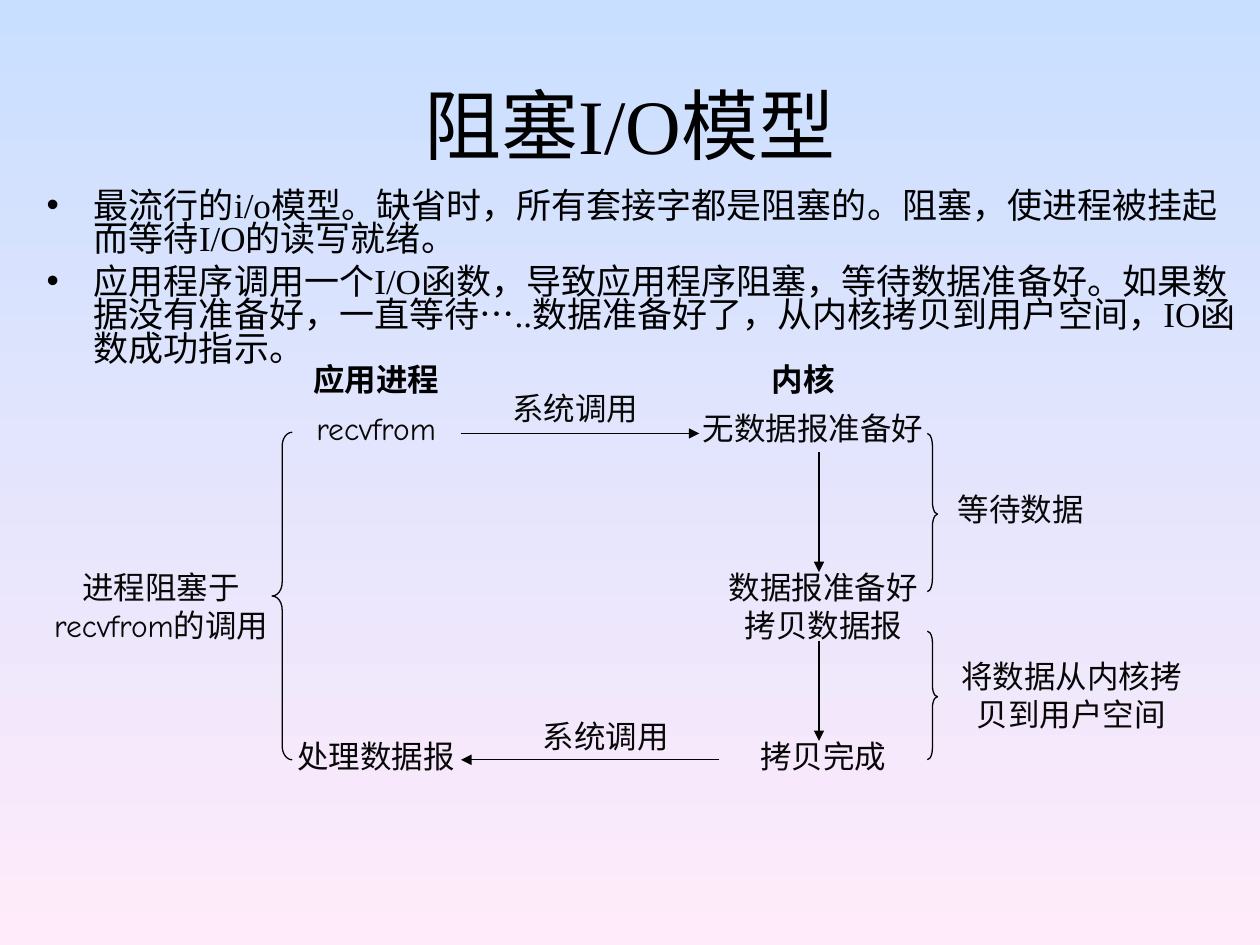
from dataclasses import dataclass

from lxml.etree import SubElement
from pptx import Presentation
from pptx.dml.color import RGBColor as Rgb
from pptx.enum.shapes import MSO_CONNECTOR as Connector, MSO_SHAPE as Shape
from pptx.enum.text import MSO_ANCHOR as Anchor, MSO_AUTO_SIZE as AutoSize, PP_ALIGN as Align
from pptx.oxml.ns import qn
from pptx.util import Pt


@dataclass(frozen=True)
class Theme:
    """Colours, fonts and sizes of the slide."""
    sky: Rgb = Rgb(0xC9, 0xDF, 0xFF)
    blush: Rgb = Rgb(0xFF, 0xEB, 0xFA)
    black: Rgb = Rgb(0, 0, 0)
    ink: Rgb = Rgb(8, 8, 8)
    serif: str = "Times New Roman"
    casual: str = "Comic Neue"
    title_size: int = 44
    body_size: int = 20
    label_size: int = 18
    line_width: float = 0.75


THEME = Theme()

TITLE = "阻塞I/O模型"
POINTS = [
    "最流行的i/o模型。缺省时，所有套接字都是阻塞的。阻塞，使进程被挂起而等待I/O的读写就绪。",
    "应用程序调用一个I/O函数，导致应用程序阻塞，等待数据准备好。如果数据没有准备好，一直等待…..数据准备好了，从内核拷贝到用户空间，IO函数成功指示。",
]

APP_LEFT, KERNEL_LEFT = 155.5, 399.6
NARROW, WIDE = 118.8, 141.8
HEADER_TOP, CALL_TOP, READY_TOP, DONE_TOP = 202.3, 230.4, 321.1, 417.6
CALL_LINE, RETURN_LINE = 247.7, 434.2
APP_EDGE, KERNEL_AXIS = 263.5, 468

HEADERS = [("应用进程", APP_LEFT), ("内核", KERNEL_LEFT)]
LABELS = [
    (["进程阻塞于recvfrom的调用"], 14.4, READY_TOP, 155.5, 2),
    (["recvfrom"], APP_LEFT, CALL_TOP, NARROW, 1),
    (["无数据报准备好"], 393.8, CALL_TOP, WIDE, 1),
    (["系统调用"], 269.3, 218.9, NARROW, 1),
    (["处理数据报"], APP_LEFT, DONE_TOP, NARROW, 1),
    (["拷贝完成"], KERNEL_LEFT, DONE_TOP, WIDE, 1),
    (["系统调用"], 286.6, 406.1, NARROW, 1),
    (["数据报准备好", "拷贝数据报"], KERNEL_LEFT, READY_TOP, WIDE, 2),
    (["等待数据"], 540, 276.5, 86.4, 1),
    (["将数据从内核拷贝到用户空间"], 541.4, 372.2, WIDE, 2),
]
ARROWS = [
    (APP_EDGE, CALL_LINE, KERNEL_LEFT, CALL_LINE),
    (411.1, RETURN_LINE, APP_EDGE, RETURN_LINE),
    (KERNEL_AXIS, 258.5, KERNEL_AXIS, 326.9),
    (KERNEL_AXIS, 366.5, KERNEL_AXIS, 423.4),
]
BRACES = [
    (Shape.LEFT_BRACE, 155.5, 247, 11.5, 187.2, 0.68, 0.5),
    (Shape.RIGHT_BRACE, 529.9, 247.7, 5.8, 90.4, 1.25, 0.51),
    (Shape.RIGHT_BRACE, 529.9, 360.7, 5.8, 73.4, 1.1, 0.51),
]


def apply(target, values):
    """Set each named attribute of the target."""
    for name, value in values.items():
        setattr(target, name, value)


def place(shape, left, top, width, height):
    """Move and size a shape."""
    apply(shape, {"left": Pt(left), "top": Pt(top),
                  "width": Pt(width), "height": Pt(height)})


def write(frame, lines, font, size, color, para_format, bold=False):
    """Fill a text frame with one paragraph for each line."""
    for index, line in enumerate(lines):
        para = frame.add_paragraph() if index else frame.paragraphs[0]
        apply(para, para_format)
        span = para.add_run()
        span.text = line
        apply(span.font, {"name": font, "size": Pt(size), "bold": bold})
        span.font.color.rgb = color


def paint_background(page):
    """Give the page a gradient running from top to bottom."""
    fill = page.background.fill
    fill.gradient()
    fill.gradient_angle = 270
    for stop, color in zip(fill.gradient_stops, (THEME.sky, THEME.blush)):
        stop.color.rgb = color


def fill_title(title):
    """Write the slide title."""
    place(title, 54, 25.9, 612, 90)
    apply(title.text_frame, {"auto_size": AutoSize.NONE, "vertical_anchor": Anchor.MIDDLE})
    write(title.text_frame, [TITLE], THEME.serif, THEME.title_size, THEME.black,
          {"alignment": Align.CENTER})


def fill_points(body):
    """Write the bulleted points."""
    place(body, 19.4, 105.8, 700.6, 118.8)
    frame = body.text_frame
    frame.auto_size = AutoSize.NONE
    write(frame, POINTS, THEME.serif, THEME.body_size, THEME.black,
          {"line_spacing": 0.8, "space_before": Pt(5)})
    frame.paragraphs[0].space_before = Pt(0)
    for para in frame.paragraphs:
        properties = para._p.get_or_add_pPr()
        properties.set("marL", str(Pt(27)))
        properties.set("indent", str(Pt(-27)))


def add_label(page, lines, left, top, width, rows, color=THEME.ink, bold=False):
    """Add a centred diagram label."""
    height = 28.8 + 21.6 * (rows - 1)
    box = page.shapes.add_textbox(Pt(left), Pt(top), Pt(width), Pt(height))
    apply(box.text_frame, {"word_wrap": True, "auto_size": AutoSize.SHAPE_TO_FIT_TEXT})
    write(box.text_frame, lines, THEME.casual, THEME.label_size, color,
          {"alignment": Align.CENTER}, bold)


def draw_outline(shape):
    """Apply the thin black line."""
    shape.line.color.rgb = THEME.black
    shape.line.width = Pt(THEME.line_width)


def add_arrow(page, *ends):
    """Add a straight arrow between two points."""
    arrow = page.shapes.add_connector(Connector.STRAIGHT, *map(Pt, ends))
    draw_outline(arrow)
    SubElement(arrow.line._get_or_add_ln(), qn("a:tailEnd"), type="triangle")
    SubElement(arrow._element.spPr, qn("a:effectLst"))


def add_brace(page, kind, left, top, width, height, curve, middle):
    """Add a brace with its curve depth and point position."""
    brace = page.shapes.add_shape(kind, Pt(left), Pt(top), Pt(width), Pt(height))
    brace.shadow.inherit = False
    brace.fill.background()
    draw_outline(brace)
    brace.adjustments[0] = curve
    brace.adjustments[1] = middle


def main():
    """Build and save the slide."""
    deck = Presentation()
    apply(deck, {"slide_width": Pt(720), "slide_height": Pt(540)})
    page = deck.slides.add_slide(deck.slide_layouts[1])
    paint_background(page)
    fill_title(page.shapes.title)
    fill_points(page.placeholders[1])
    for brace in BRACES:
        add_brace(page, *brace)
    for text, left in HEADERS:
        add_label(page, [text], left, HEADER_TOP, NARROW, 1, THEME.black, True)
    for label in LABELS:
        add_label(page, *label)
    for arrow in ARROWS:
        add_arrow(page, *arrow)
    deck.save("out.pptx")


if __name__ == "__main__":
    main()
